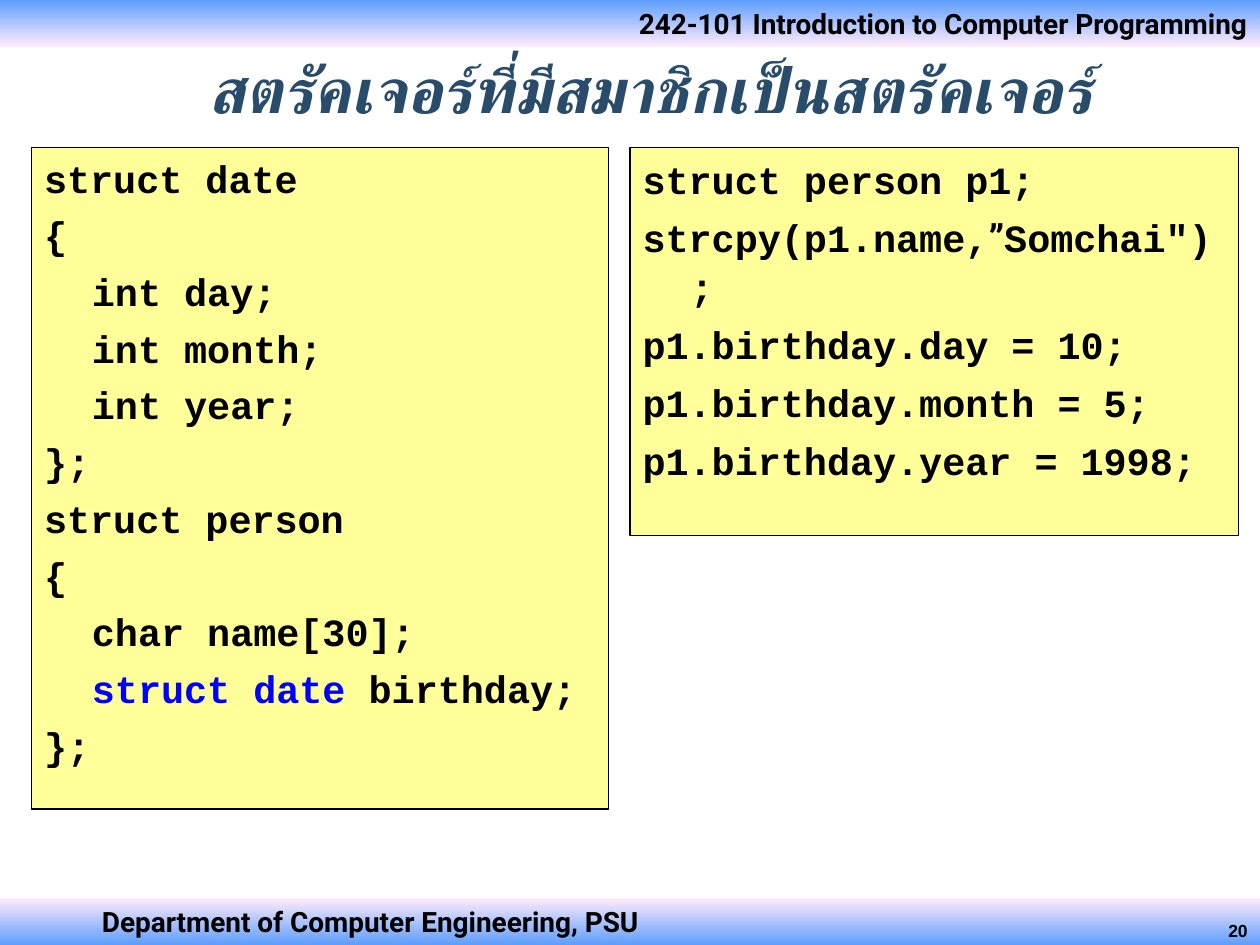
from pptx import Presentation
from pptx.dml import color
from pptx.enum import lang, shapes, text
from pptx.oxml import ns
from pptx.util import Inches, Pt
from lxml import etree

CODE = dict(name="Courier New", size=Pt(22), bold=True, italic=False)
BAND = dict(name="Roboto", size=Pt(16), bold=True, italic=False)
TITLE = dict(name="Roboto", size=Pt(36), bold=True, italic=True,
             language_id=lang.MSO_LANGUAGE_ID.THAI)
NUMBER = dict(name="Arial", size=Pt(10), bold=True, italic=False)
SKY, PINK = "5E9EFF", "FFEBFA"
BLACK, BLUE, YELLOW, NAVY = "000000", "0000FF", "FFFF99", "284C6A"
LEFT, CENTER, RIGHT = text.PP_ALIGN.LEFT, text.PP_ALIGN.CENTER, text.PP_ALIGN.RIGHT

DECLARATIONS = [
    (0, ["struct date"]),
    (0, ["{"]),
    (1, ["int day;"]),
    (1, ["int month;"]),
    (1, ["int year;"]),
    (0, ["};"]),
    (0, ["struct person"]),
    (0, ["{"]),
    (1, ["char name[30];"]),
    (1, [("struct date", dict(hue=BLUE)), " birthday;"]),
    (0, ["};"]),
]
ASSIGNMENTS = [
    (0, ["struct person p1;"]),
    (0, ["strcpy(p1.name,", ("”", dict(name="Roboto")), 'Somchai");']),
    (0, ["p1.birthday.day = 10;"]),
    (0, ["p1.birthday.month = 5;"]),
    (0, ["p1.birthday.year = 1998;"]),
]


def rgb(value):
    return color.RGBColor.from_string(value)


def apply(target, values):
    for key, value in values.items():
        setattr(target, key, value)


def place(part, box):
    sides = ("left", "top", "width", "height")
    apply(part, dict(zip(sides, map(Inches, box))))


def add_words(paragraph, words, style, hue=BLACK):
    run = paragraph.add_run()
    run.text = words
    apply(run.font, style)
    run.font.color.rgb = rgb(hue)
    return run


def add_band(slide, box, words, stops, align, inset):
    band = slide.shapes.add_shape(shapes.MSO_SHAPE.RECTANGLE, *map(Inches, box))
    band.shadow.inherit = False
    band.line.fill.background()
    band.fill.gradient()
    band.fill.gradient_angle = 270
    for stop, hue in zip(band.fill.gradient_stops, stops):
        stop.color.rgb = rgb(hue)
    apply(band.text_frame, dict(vertical_anchor=text.MSO_ANCHOR.TOP,
                                margin_left=Inches(inset)))
    line = band.text_frame.paragraphs[0]
    line.alignment = align
    add_words(line, words, BAND)


def add_title(slide, box, words):
    heading = slide.shapes.title
    place(heading, box)
    apply(heading.text_frame, dict(vertical_anchor=text.MSO_ANCHOR.MIDDLE,
                                   auto_size=text.MSO_AUTO_SIZE.NONE))
    line = heading.text_frame.paragraphs[0]
    line.alignment = CENTER
    run = add_words(line, words, TITLE, NAVY)
    thai = etree.SubElement(run.font._element, ns.qn("a:cs"))
    thai.set("typeface", "Roboto")


def add_code(panel, box, lines, spacing):
    place(panel, box)
    panel.fill.solid()
    panel.fill.fore_color.rgb = rgb(YELLOW)
    panel.line.color.rgb = rgb(BLACK)
    panel.line.width = Pt(0.75)
    frame = panel.text_frame
    apply(frame, dict(vertical_anchor=text.MSO_ANCHOR.TOP, word_wrap=True,
                      auto_size=text.MSO_AUTO_SIZE.NONE))
    for index, (depth, pieces) in enumerate(lines):
        line = frame.add_paragraph() if index else frame.paragraphs[0]
        apply(line, dict(alignment=LEFT, line_spacing=spacing,
                         space_before=Pt(5.5), space_after=Pt(0)))
        layout = line._p.get_or_add_pPr()
        layout.set("marL", str(Inches(0.38)))
        layout.set("indent", str(Inches(0 if depth else -0.38)))
        etree.SubElement(layout, ns.qn("a:buNone"))
        for piece in pieces:
            words, change = (piece, {}) if isinstance(piece, str) else piece
            style = {**CODE, **change}
            hue = style.pop("hue", BLACK)
            add_words(line, words, style, hue)


def add_number(slide, box, words):
    frame = slide.shapes.add_textbox(*map(Inches, box)).text_frame
    frame.word_wrap = True
    line = frame.paragraphs[0]
    line.alignment = RIGHT
    add_words(line, words, NUMBER)


def main():
    deck = Presentation()
    apply(deck, dict(slide_width=Inches(10), slide_height=Inches(7.5)))
    slide = deck.slides.add_slide(deck.slide_layouts[3])
    add_band(slide, (0, 0, 10, 0.37), "242-101 Introduction to Computer Programming",
             (SKY, PINK), RIGHT, 0.1)
    add_band(slide, (0, 7.13, 10, 0.37), "Department of Computer Engineering, PSU",
             (PINK, SKY), LEFT, 0.81)
    add_number(slide, (7.92, 7.25, 2.08, 0.25), "20")
    add_title(slide, (0.92, 0.08, 8.5, 1.25), "สตรัคเจอร์ที่มีสมาชิกเป็นสตรัคเจอร์")
    add_code(slide.placeholders[1], (0.25, 1.17, 4.58, 5.25), DECLARATIONS, 1.02)
    add_code(slide.placeholders[2], (5, 1.17, 4.83, 3.08), ASSIGNMENTS, 1.05)
    deck.save("out.pptx")


if __name__ == "__main__":
    main()
